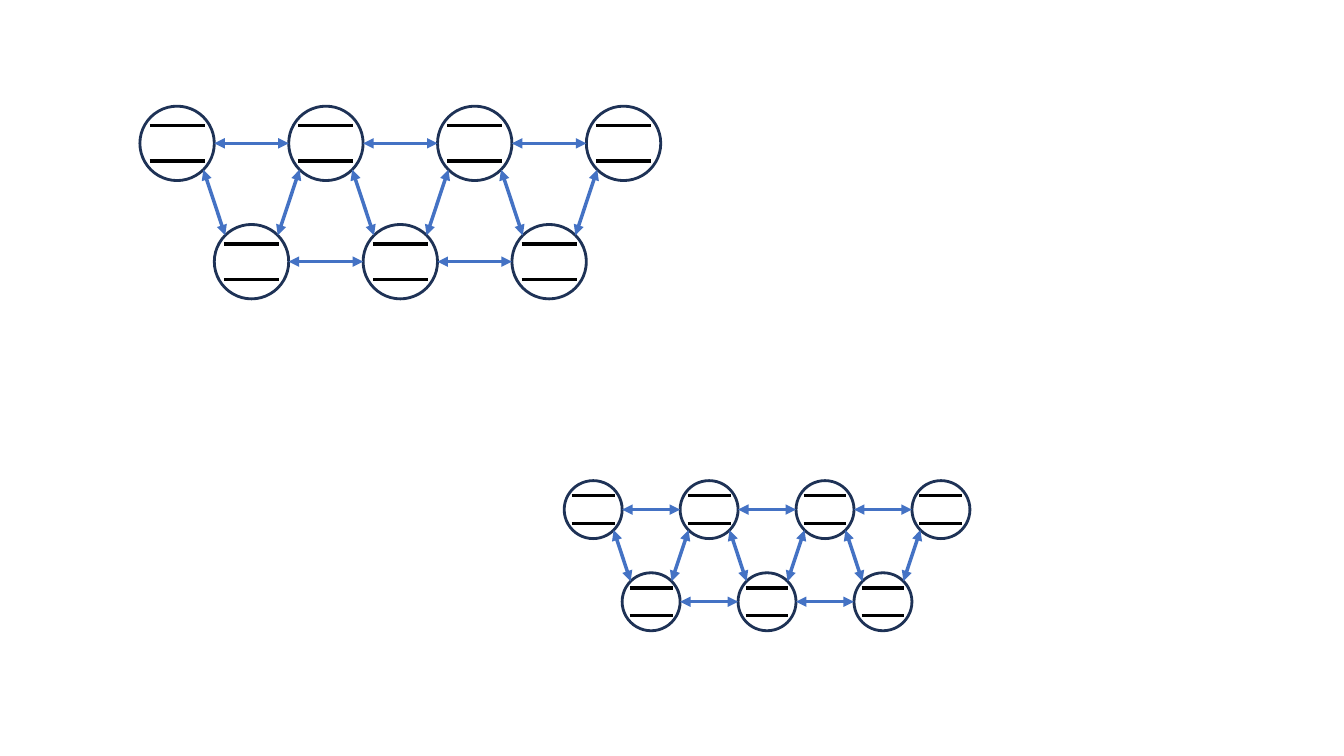
"""Build a slide with two lattices of two-level sites joined by double arrows."""
from math import sqrt

from lxml.etree import SubElement
from pptx import Presentation
from pptx.dml.color import RGBColor
from pptx.enum.shapes import MSO_CONNECTOR as Connector, MSO_SHAPE as Shape
from pptx.oxml.ns import qn
from pptx.util import Pt

LATTICES = [
    {"first_center": (126.5, 102.4), "diameter": 53.15},
    {"first_center": (423.7, 364), "diameter": 41.4},
]
TOP_SITES, BOTTOM_SITES = 4, 3
PITCH, ROW_DROP = 2, 1.59
LEVEL_HALF_WIDTH, LEVEL_OFFSET = 0.37, 0.24
OUTLINE, LEVEL, ARROW = "1E3256", "000000", "4472C4"


def color(hex_string):
    return RGBColor.from_string(hex_string)


def add_line(group, start, end, line_color, arrows=False):
    connector = group.shapes.add_connector(
        Connector.STRAIGHT, *(Pt(value) for value in (*start, *end)))
    connector.line.color.rgb = color(line_color)
    connector.line.width = Pt(2.5)
    if arrows:
        line = connector.line._get_or_add_ln()
        for tag in ("a:headEnd", "a:tailEnd"):
            SubElement(line, qn(tag), type="triangle")
    SubElement(connector._element.spPr, qn("a:effectLst"))


def add_site(group, center, diameter):
    x, y = center
    circle = group.shapes.add_shape(
        Shape.OVAL, Pt(x - diameter / 2), Pt(y - diameter / 2),
        Pt(diameter), Pt(diameter))
    circle.shadow.inherit = False
    circle.fill.background()
    circle.line.color.rgb = color(OUTLINE)
    circle.line.width = Pt(2)
    half_width = LEVEL_HALF_WIDTH * diameter
    for side in (1, -1):
        level_y = y + side * LEVEL_OFFSET * diameter
        add_line(group, (x - half_width, level_y), (x + half_width, level_y), LEVEL)


def add_lattice(slide, first_center, diameter):
    group = slide.shapes.add_group_shape()
    x, y = first_center
    pitch = PITCH * diameter
    radius = diameter / 2
    diagonal = radius / sqrt(2)
    top = [(x + i * pitch, y) for i in range(TOP_SITES)]
    bottom = [(x + (i + 0.5) * pitch, y + ROW_DROP * diameter)
              for i in range(BOTTOM_SITES)]
    for center in top + bottom:
        add_site(group, center, diameter)
    for row in (top, bottom):
        for (left_x, row_y), (right_x, _) in zip(row, row[1:]):
            add_line(group, (left_x + radius, row_y), (right_x - radius, row_y),
                     ARROW, arrows=True)
    for i, (low_x, low_y) in enumerate(bottom):
        for side, (high_x, high_y) in zip((1, -1), top[i:i + 2]):
            add_line(group, (high_x + side * diagonal, high_y + diagonal),
                     (low_x - side * diagonal, low_y - diagonal),
                     ARROW, arrows=True)


def main():
    presentation = Presentation()
    presentation.slide_width, presentation.slide_height = Pt(960), Pt(540)
    slide = presentation.slides.add_slide(presentation.slide_layouts[6])
    for lattice in LATTICES:
        add_lattice(slide, **lattice)
    presentation.save("out.pptx")


if __name__ == "__main__":
    main()
